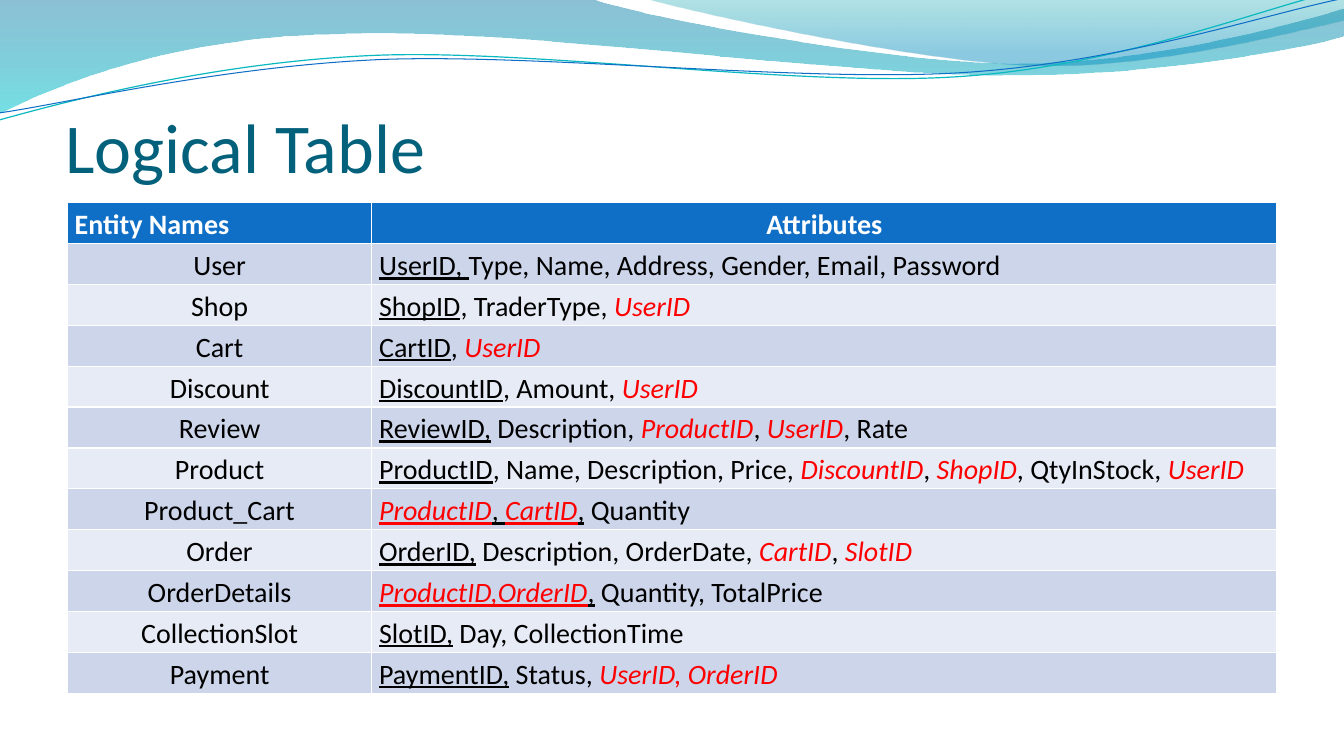
from pptx import Presentation
from pptx.dml.color import RGBColor
from pptx.enum.text import MSO_ANCHOR, PP_ALIGN
from pptx.oxml.ns import qn
from pptx.util import Pt
from lxml.etree import SubElement

WHITE = RGBColor(0xFF, 0xFF, 0xFF)
BLACK = RGBColor(0x00, 0x00, 0x00)
RED = RGBColor(0xFF, 0x00, 0x00)
TITLE_TEAL = RGBColor(0x04, 0x61, 0x7B)
HEADER_BLUE = RGBColor(0x0F, 0x6F, 0xC6)
BAND_DARK = RGBColor(0xCC, 0xD5, 0xEA)
BAND_LIGHT = RGBColor(0xE7, 0xEB, 0xF5)
LINE_TEAL = RGBColor(0x0A, 0xB8, 0xBF)
DEEP_BLUE = RGBColor(0x00, 0x74, 0xA1)
CYAN = RGBColor(0x00, 0xC6, 0xCF)
SEA_GREEN = RGBColor(0x00, 0xA1, 0xA9)
SKY_BLUE = RGBColor(0x00, 0x8B, 0xBF)

FONT = "Calibri"
LINE_TILT = -2.7

LEFT_WAVE = [
    [(0, 0)],
    [(422.6, -0.7)],
    [(456.5, 12.2), (637.2, 45.4), (727.9, 45.4)],
    [(819.4, 45.4), (920.2, 18.7), (959.8, 6.5)],
    [(961.2, 25.9)],
    [(944, 31.7), (835.2, 54.7), (715.7, 54)],
    [(596.9, 54), (366.5, 20.2), (247, 24.5)],
    [(123.8, 25.9), (43.9, 59.8), (-0.7, 81.4)],
    [(0, 0)],
]
RIGHT_WAVE = [
    [(460.1, -0.7)],
    [(488.9, 7.9), (654.5, 44.6), (738, 46.8)],
    [(821.5, 49.7), (923, 23), (959.8, 15.1)],
    [(959.8, 0)],
    [(460.1, -0.7)],
]
TEAL_LINE = [
    [(-2.3, 63.1)],
    [(45.1, 52.3), (152.1, 29.2), (266, 29.6)],
    [(379.8, 29.9), (567.7, 66.8), (683.2, 64.4)],
    [(798.6, 62.6), (902.6, 25.7), (960.1, 15.4)],
]
BLUE_LINE = [
    [(-1.3, 57.9)],
    [(44.4, 53.7), (157.1, 32.3), (272.4, 32.7)],
    [(386.9, 33.8), (572.2, 63.4), (686.9, 61.6)],
    [(802.3, 59.8), (904.6, 30.1), (962, 21.3)],
]

PLAIN, KEY, FOREIGN, FOREIGN_KEY = "", "u", "f", "fu"
ENTITIES = [
    ("User", [("UserID, ", KEY), ("Type, Name, Address, Gender, Email, Password", PLAIN)]),
    ("Shop", [("ShopID", KEY), (", TraderType, ", PLAIN), ("UserID", FOREIGN)]),
    ("Cart", [("CartID", KEY), (", ", PLAIN), ("UserID", FOREIGN)]),
    ("Discount", [("DiscountID", KEY), (", Amount, ", PLAIN), ("UserID", FOREIGN)]),
    ("Review", [("ReviewID,", KEY), (" Description, ", PLAIN), ("ProductID", FOREIGN),
                (", ", PLAIN), ("UserID", FOREIGN), (", Rate", PLAIN)]),
    ("Product", [("ProductID", KEY), (", Name, Description, Price, ", PLAIN),
                 ("DiscountID", FOREIGN), (", ", PLAIN), ("ShopID", FOREIGN),
                 (", QtyInStock, ", PLAIN), ("UserID", FOREIGN)]),
    ("Product_Cart", [("ProductID", FOREIGN_KEY), (", ", KEY), ("CartID", FOREIGN_KEY),
                      (",", KEY), (" Quantity", PLAIN)]),
    ("Order", [("OrderID,", KEY), (" Description, OrderDate, ", PLAIN),
               ("CartID", FOREIGN), (", ", PLAIN), ("SlotID", FOREIGN)]),
    ("OrderDetails", [("ProductID,OrderID", FOREIGN_KEY), (",", KEY),
                      (" Quantity, TotalPrice", PLAIN)]),
    ("CollectionSlot", [("SlotID,", KEY), (" Day, CollectionTime", PLAIN)]),
    ("Payment", [("PaymentID,", KEY), (" Status, ", PLAIN), ("UserID, OrderID", FOREIGN)]),
]


def add_outline(slide, left, top, segments, closed):
    places = [[(Pt(left + x), Pt(top + y)) for x, y in segment] for segment in segments]
    ends = [segment[-1] for segment in places]
    builder = slide.shapes.build_freeform(*ends[0])
    builder.add_line_segments(ends[1:], close=closed)
    sp = builder.convert_to_shape()
    sp.shadow.inherit = False
    steps = list(sp._element.spPr.iter(qn("a:lnTo")))
    for step, segment in zip(steps, places[1:]):
        if len(segment) == 3:
            curve = step.makeelement(qn("a:cubicBezTo"))
            for x, y in segment:
                SubElement(curve, qn("a:pt"), x=str(x - sp.left), y=str(y - sp.top))
            step.getparent().replace(step, curve)
    return sp


def add_waves(slide, left, top):
    for segments, stops in (
        (LEFT_WAVE, ((0, DEEP_BLUE, 45), (1, CYAN, 55))),
        (RIGHT_WAVE, ((0, SEA_GREEN, 30), (0.8, SKY_BLUE, 45))),
    ):
        sp = add_outline(slide, left, top, segments, True)
        sp.line.fill.background()
        sp.fill.gradient()
        sp.fill.gradient_angle = 270
        for stop, (position, color, _) in zip(sp.fill.gradient_stops, stops):
            stop.position = position
            stop.color.rgb = color
        for clr, (_, _, opacity) in zip(sp._element.spPr.iter(qn("a:srgbClr")), stops):
            SubElement(clr, qn("a:alpha"), val=str(opacity * 1000))
    for segments, color, width in ((TEAL_LINE, LINE_TEAL, 0.85), (BLUE_LINE, HEADER_BLUE, 0.75)):
        sp = add_outline(slide, left, top, segments, False)
        sp.rotation = LINE_TILT
        sp.fill.background()
        sp.line.color.rgb = color
        sp.line.width = Pt(width)


def add_run(p, text, size, color, bold=False, italic=False, underline=False):
    r = p.add_run()
    r.text = text
    r.font.name = FONT
    r.font.size = Pt(size)
    r.font.color.rgb = color
    r.font.bold = bold
    r.font.italic = italic
    r.font.underline = underline


def add_title(slide, left, top, width, height):
    tf = slide.shapes.add_textbox(Pt(left), Pt(top), Pt(width), Pt(height)).text_frame
    tf.word_wrap = True
    tf.vertical_anchor = MSO_ANCHOR.BOTTOM
    tf.margin_left = tf.margin_right = tf.margin_bottom = 0
    tf.margin_top = Pt(3.6)
    add_run(tf.paragraphs[0], "Logical Table", 50, TITLE_TEAL)


def style_cell(cell, fill, align):
    tcPr = cell._tc.get_or_add_tcPr()
    for side in "LRTB":
        ln = SubElement(tcPr, qn(f"a:ln{side}"), w=str(Pt(1)))
        SubElement(SubElement(ln, qn("a:solidFill")), qn("a:srgbClr"), val=str(WHITE))
    cell.fill.solid()
    cell.fill.fore_color.rgb = fill
    cell.margin_left = cell.margin_right = Pt(5.2)
    cell.margin_top = cell.margin_bottom = 0
    p = cell.text_frame.paragraphs[0]
    p.alignment = align
    p.line_spacing = 1.15
    return p


def add_entity_table(slide, left, top, width, height):
    row_count = len(ENTITIES) + 1
    table = slide.shapes.add_table(row_count, 2, Pt(left), Pt(top), Pt(width), Pt(height)).table
    name_width = 217.4
    table.columns[0].width = Pt(name_width)
    table.columns[1].width = Pt(width - name_width)
    for row in table.rows:
        row.height = Pt(height / row_count)

    headers = (("Entity Names", PP_ALIGN.LEFT), ("Attributes", PP_ALIGN.CENTER))
    for col, (text, align) in enumerate(headers):
        p = style_cell(table.cell(0, col), HEADER_BLUE, align)
        p.space_before = Pt(10)
        add_run(p, text, 20, WHITE, bold=True)

    for row, (name, attributes) in enumerate(ENTITIES, 1):
        band = BAND_DARK if row % 2 else BAND_LIGHT
        add_run(style_cell(table.cell(row, 0), band, PP_ALIGN.CENTER), name, 20, BLACK)
        p = style_cell(table.cell(row, 1), band, PP_ALIGN.LEFT)
        for text, style in attributes:
            foreign = "f" in style
            add_run(p, text, 20, RED if foreign else BLACK,
                    italic=foreign, underline="u" in style)


def main():
    prs = Presentation()
    prs.slide_width, prs.slide_height = Pt(960), Pt(540)
    slide = prs.slides.add_slide(prs.slide_layouts[6])
    add_waves(slide, 0, 0)
    add_title(slide, 46.8, 43.9, 864, 90)
    add_entity_table(slide, 48.2, 144.8, 864, 350.4)
    prs.save("out.pptx")


if __name__ == "__main__":
    main()
